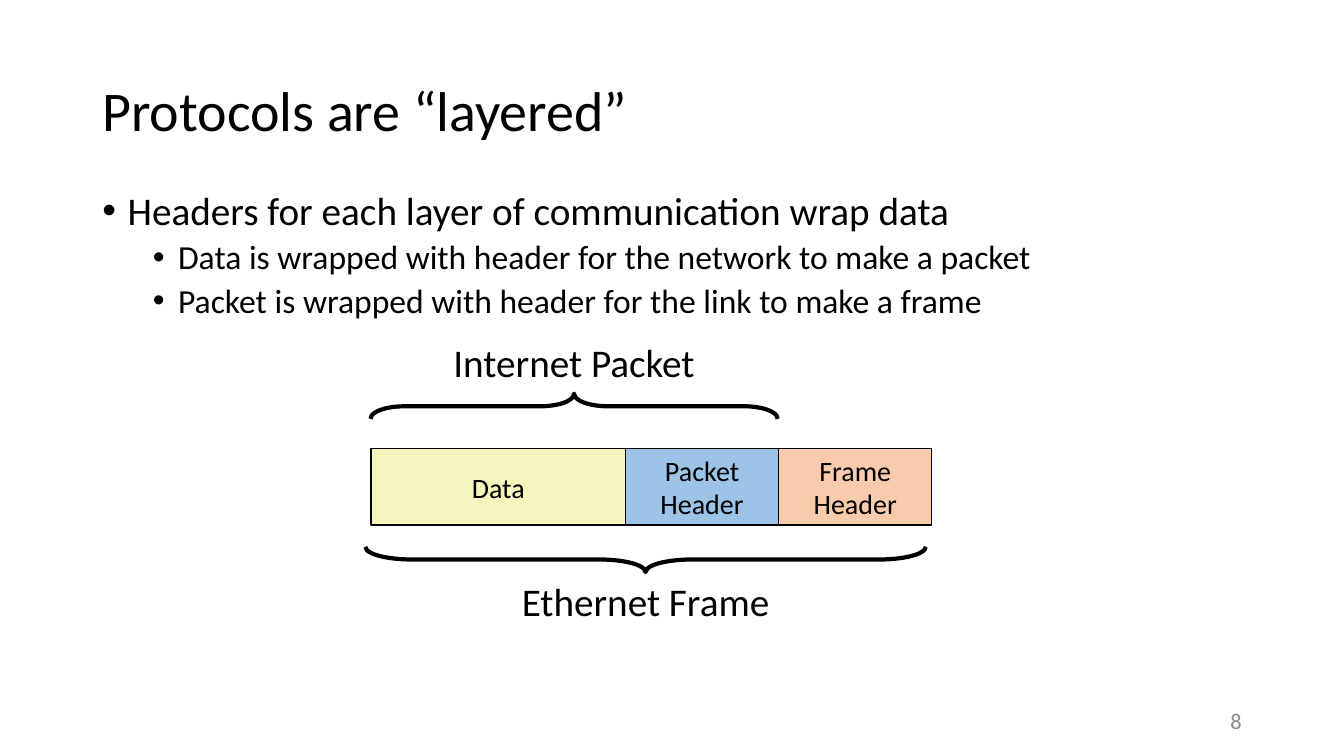
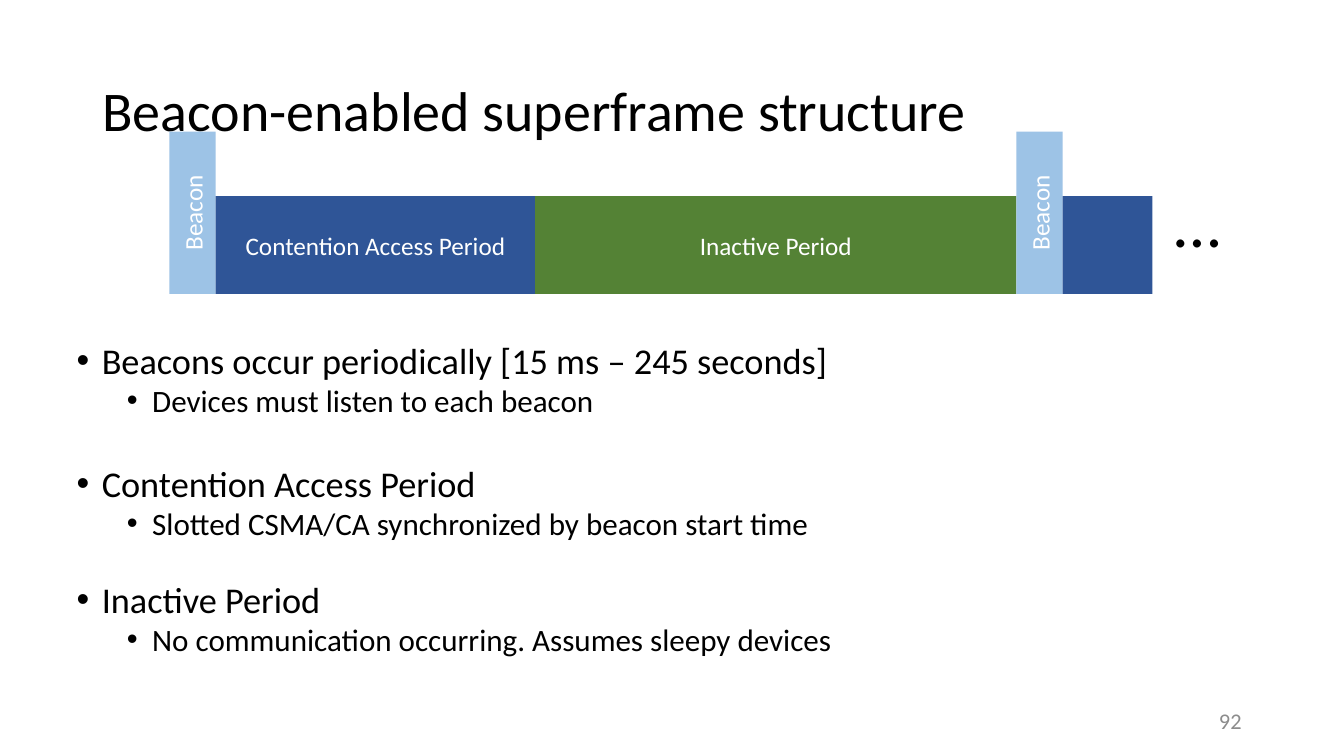
from dataclasses import dataclass

from lxml import etree
from pptx import Presentation
from pptx.dml.color import RGBColor
from pptx.enum import shapes, text
from pptx.oxml import ns
from pptx.util import Pt


@dataclass(frozen=True)
class Theme:
    font: str = "Calibri"
    black: str = "000000"
    white: str = "FFFFFF"
    grey: str = "8C8C8C"
    yellow: str = "F6F5BD"
    sky: str = "9DC3E6"
    peach: str = "F8CBAD"
    navy: str = "2F5597"
    green: str = "548235"
    title: float = 40
    number: float = 16
    field: float = 20
    label: float = 28
    period: float = 18
    ellipsis: float = 48


THEME = Theme()
SLIDE_SIZE = (960, 540)
TITLE_BOX = (66, 28.8, 828, 104.4)
BODY_BOX = (66, 133.2, 828, 342.7)
NUMBER_BOX = (678, 500.4, 216, 28.8)
INDENTS = (18, 54)  # text indent of each list level
HANGING = 18
SPACE_BEFORE = (10, 5)

# Bullets: level, text, extra space above
LAYERED = {
    "title": "Protocols are “layered”",
    "number": "8",
    "body_box": BODY_BOX,
    "sizes": (28, 24),
    "line_spacing": 0.9,
    "bullets": [
        (0, "Headers for each layer of communication wrap data", 0),
        (1, "Data is wrapped with header for the network to make a packet", 0),
        (1, "Packet is wrapped with header for the link to make a frame", 0),
    ],
}
SUPERFRAME = {
    "title": "Beacon-enabled superframe structure",
    "number": "92",
    "body_box": (47.5, 244.1, 864, 242),
    "sizes": (25.9, 22.2),
    "line_spacing": 0.8,
    "bullets": [
        (0, "Beacons occur periodically [15 ms – 245 seconds]", 0),
        (1, "Devices must listen to each beacon", 0),
        (0, "Contention Access Period", 26.7),
        (1, "Slotted CSMA/CA synchronized by beacon start time", 0),
        (0, "Inactive Period", 21.7),
        (1, "No communication occurring. Assumes sleepy devices", 0),
    ],
}

# Frame fields: text, width, fill
FIELDS_LEFT, FIELDS_TOP, FIELDS_HEIGHT = 265, 320.4, 54.7
FIELDS = [
    ("Data", 181.8, THEME.yellow),
    ("Packet\nHeader", 109.4, THEME.sky),
    ("Frame\nHeader", 109.4, THEME.peach),
]
# Braces: label, left, top, width, rotation, curve, label top
BRACE_DEPTH, LABEL_SIZE = 18, (208, 41)
BRACES = [
    ("Internet Packet", 264.6, 281.2, 290.9, 90, 1.333, 238.3),
    ("Ethernet Frame", 261, 390.6, 400.3, 270, 1.833, 409),
]

# Superframe parts: text, width, height, fill
TIMELINE_LEFT, TIMELINE_BOTTOM = 121, 210
PERIOD_HEIGHT = 70
BEACON = ("Beacon", 33.1, 116, THEME.sky)
TIMELINE = [
    BEACON,
    ("Contention Access Period", 228.2, PERIOD_HEIGHT, THEME.navy),
    ("Inactive Period", 343.7, PERIOD_HEIGHT, THEME.green),
    BEACON,
    ("", 64.1, PERIOD_HEIGHT, THEME.navy),
]
ELLIPSIS_BOX = (831.6, 124.6, 74.2, 65.5)


def place(shape, box):
    for name, value in zip(("left", "top", "width", "height"), box):
        setattr(shape, name, Pt(value))


def write(paragraph, content, size, color=THEME.black, **formats):
    paragraph.text = content
    for name, value in formats.items():
        setattr(paragraph, name, value)
    for name, value in {"name": THEME.font, "size": Pt(size)}.items():
        setattr(paragraph.font, name, value)
    paragraph.font.color.rgb = RGBColor.from_string(color)


def add_text(slide, box, content, size, color=THEME.black,
             alignment=text.PP_ALIGN.LEFT, anchor=text.MSO_ANCHOR.MIDDLE):
    frame = slide.shapes.add_textbox(*map(Pt, box)).text_frame
    frame.word_wrap = True
    frame.vertical_anchor = anchor
    write(frame.paragraphs[0], content, size, color, alignment=alignment)


def add_box(slide, box, content, fill, size, color, outline=None):
    shape = slide.shapes.add_shape(shapes.MSO_SHAPE.RECTANGLE, *map(Pt, box))
    shape.shadow.inherit = False
    shape.fill.solid()
    shape.fill.fore_color.rgb = RGBColor.from_string(fill)
    if outline:
        shape.line.color.rgb = RGBColor.from_string(outline)
        shape.line.width = Pt(1)
    else:
        shape.line.fill.background()
    if content:
        shape.text_frame.vertical_anchor = text.MSO_ANCHOR.MIDDLE
        write(shape.text_frame.paragraphs[0], content, size, color,
              alignment=text.PP_ALIGN.CENTER)
    return shape


def add_brace(slide, left, top, width, rotation, curve):
    """Turn a left brace so that it spans the given width."""
    box = (left + (width - BRACE_DEPTH) / 2, top + (BRACE_DEPTH - width) / 2,
           BRACE_DEPTH, width)
    brace = slide.shapes.add_shape(shapes.MSO_SHAPE.LEFT_BRACE, *map(Pt, box))
    brace.rotation = rotation
    brace.adjustments[0] = curve
    brace.shadow.inherit = False
    brace.fill.background()
    brace.line.color.rgb = RGBColor.from_string(THEME.black)
    brace.line.width = Pt(3)


def set_bullet(paragraph, level):
    properties = paragraph._p.get_or_add_pPr()
    properties.set("marL", str(Pt(INDENTS[level])))
    properties.set("indent", str(-Pt(HANGING)))
    bullet = etree.Element(ns.qn("a:buChar"), char="•")
    defaults = properties.find(ns.qn("a:defRPr"))
    if defaults is None:
        properties.append(bullet)
    else:
        defaults.addprevious(bullet)


def add_slide(presentation, content):
    slide = presentation.slides.add_slide(presentation.slide_layouts[1])
    title, body = slide.placeholders
    spacing = content["line_spacing"]
    place(title, TITLE_BOX)
    title.text_frame.vertical_anchor = text.MSO_ANCHOR.MIDDLE
    write(title.text_frame.paragraphs[0], content["title"], THEME.title,
          alignment=text.PP_ALIGN.LEFT, line_spacing=0.9)
    place(body, content["body_box"])
    frame = body.text_frame
    frame.auto_size = text.MSO_AUTO_SIZE.NONE
    for index, (level, bullet, gap) in enumerate(content["bullets"]):
        paragraph = frame.add_paragraph() if index else frame.paragraphs[0]
        write(paragraph, bullet, content["sizes"][level], level=level,
              line_spacing=spacing, space_before=Pt(SPACE_BEFORE[level] + gap))
        set_bullet(paragraph, level)
    add_text(slide, NUMBER_BOX, content["number"], THEME.number, THEME.grey,
             text.PP_ALIGN.RIGHT)
    return slide


def draw_frame(slide):
    left = FIELDS_LEFT
    for content, width, fill in FIELDS:
        field = add_box(slide, (left, FIELDS_TOP, width, FIELDS_HEIGHT), content,
                        fill, THEME.field, THEME.black, THEME.black)
        field.text_frame.word_wrap = False
        left += width
    label_width, label_height = LABEL_SIZE
    for label, left, top, width, rotation, curve, label_top in BRACES:
        add_brace(slide, left, top, width, rotation, curve)
        label_left = left + (width - label_width) / 2
        add_text(slide, (label_left, label_top, label_width, label_height), label,
                 THEME.label, alignment=text.PP_ALIGN.CENTER)


def draw_timeline(slide):
    left = TIMELINE_LEFT
    for part in TIMELINE:
        content, width, height, fill = part
        shape = add_box(slide, (left, TIMELINE_BOTTOM - height, width, height),
                        content, fill, THEME.period, THEME.white)
        if part is BEACON:
            shape.element.xpath(".//a:bodyPr")[0].set("vert", "vert270")
        left += width
    add_text(slide, ELLIPSIS_BOX, "…", THEME.ellipsis)


def main():
    presentation = Presentation()
    presentation.slide_width, presentation.slide_height = map(Pt, SLIDE_SIZE)
    draw_frame(add_slide(presentation, LAYERED))
    draw_timeline(add_slide(presentation, SUPERFRAME))
    presentation.save("out.pptx")


if __name__ == "__main__":
    main()
